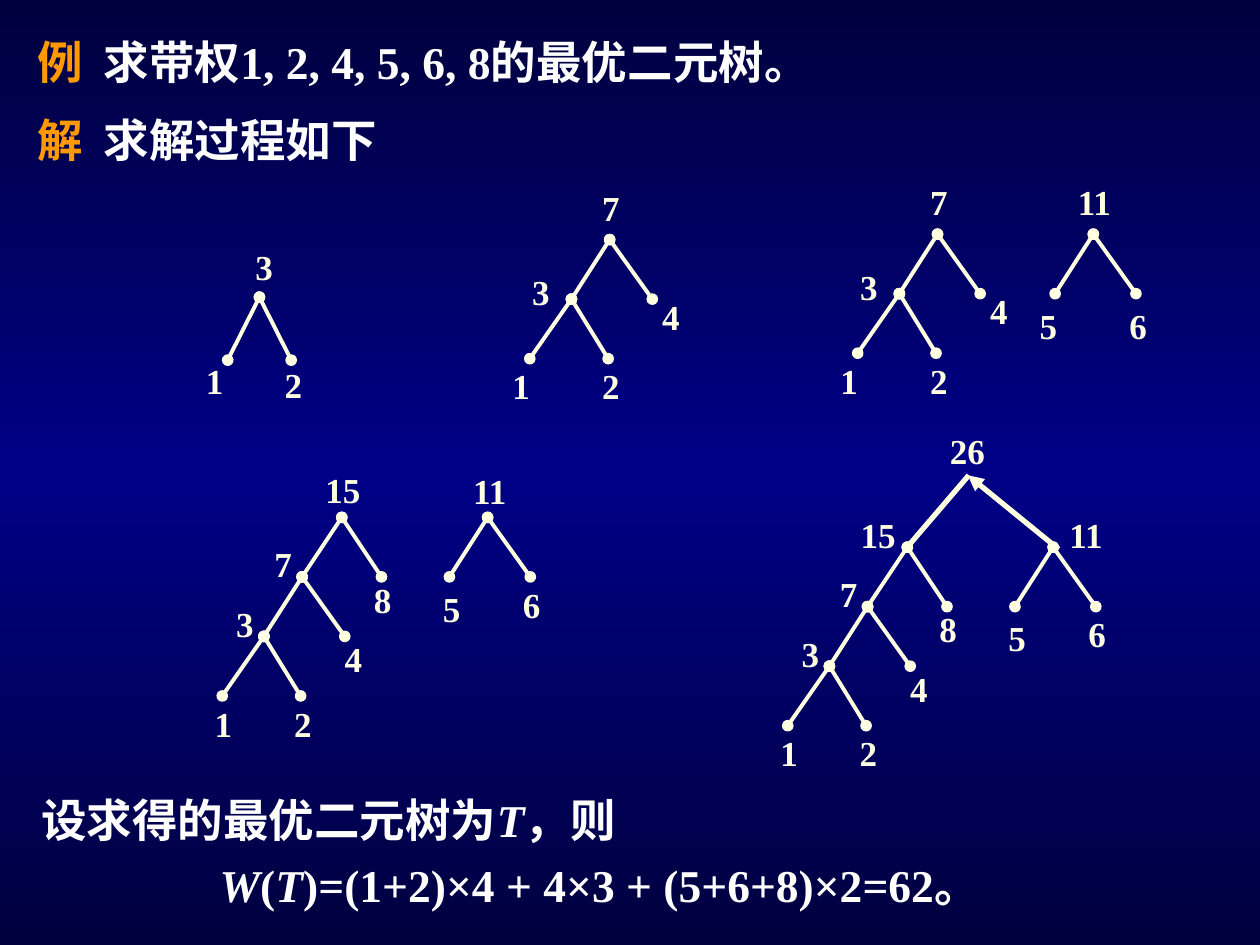
from copy import deepcopy
from dataclasses import dataclass

from pptx import Presentation
from pptx.dml.color import RGBColor as RGB
from pptx.enum.shapes import MSO_CONNECTOR as CONN
from pptx.oxml.ns import qn
from pptx.oxml.xmlchemy import OxmlElement as Element
from pptx.util import Cm, Pt


@dataclass(frozen=True)
class Theme:
    edge: str = "00003E"
    middle: str = "000086"
    accent: str = "FF9900"
    text: str = "FFFFFF"
    tree: str = "FFFFE1"
    sans: str = "Arial"
    serif: str = "Times New Roman"
    body_size: int = 26
    label_size: int = 20
    branch: float = 2.25
    join: float = 3


T = Theme()

# Trees: (weight, horizontal step from the parent, children), lengths in cm
DROP = 1.2
TREE_3 = ("3", -0.77, [("1", -0.84, []), ("2", 0.74, [])])
TREE_7 = ("7", -0.8, [TREE_3, ("4", 0.86, [])])
TREE_11 = ("11", 0, [("5", -0.77, []), ("6", 0.86, [])])
TREE_15 = ("15", 0, [TREE_7, ("8", 0.8, [])])
FIRST_3 = ("3", 0, [("1", -0.64, []), ("2", 0.64, [])])

# Label box offsets from the node, by weight
FIRST = {"1": (-0.69, -0.13), "2": (-0.38, -0.05), "3": (-0.33, -1.17)}
UPPER = {"1": (-0.6, 0), "2": (-0.37, 0), "3": (-1.04, -0.7),
         "4": (-0.05, -0.2), "5": (-0.56, 0.1), "6": (-0.38, 0.1),
         "7": (-0.4, -1.2), "11": (-0.56, -1.2)}
LOWER = {"1": (-0.4, 0), "2": (-0.38, 0), "3": (-0.81, -0.81),
         "4": (-0.25, -0.1), "5": (-0.38, 0.08), "6": (-0.4, 0),
         "7": (-0.81, -0.81), "8": (-0.4, -0.1),
         "11": (-0.54, -1.1), "15": (-0.58, -1.11)}
JOINED = {**LOWER, "11": (0.08, -0.81), "15": (-1.19, -0.81)}


def set_background(s):
    fill = s.background.fill
    fill.gradient()
    fill.gradient_angle = 270
    stops = s.element.find(".//" + qn("a:gsLst"))
    stops.append(deepcopy(stops[-1]))
    colors = (T.edge, T.middle, T.edge)
    for i, (stop, color) in enumerate(zip(fill.gradient_stops, colors)):
        stop.position = i / 2
        stop.color.rgb = RGB.from_string(color)


def add_run(p, text, *, font=T.sans, size=T.body_size, color=T.text, italic=False):
    r = p.add_run()
    r.text = text
    r.font.name = font
    r.font.size = Pt(size)
    r.font.bold = True
    r.font.italic = italic
    r.font.color.rgb = RGB.from_string(color)


def add_box(shapes, x, y, w, h):
    tf = shapes.add_textbox(Cm(x), Cm(y), Cm(w), Cm(h)).text_frame
    tf.word_wrap = True
    return tf


def add_heading(s, y, mark):
    """Text line with a coloured mark, then a tab."""
    p = add_box(s.shapes, 0.51, y, 17.8, 1.37).paragraphs[0]
    tabs = Element("a:tabLst")
    tab = Element("a:tab")
    tab.set("pos", str(Cm(1.33)))
    tab.set("algn", "l")
    tabs.append(tab)
    p._p.get_or_add_pPr().append(tabs)
    add_run(p, mark + "\t", color=T.accent)
    return p


def add_label(shapes, text, x, y):
    width = 0.95 if len(text) == 1 else 1.4
    p = add_box(shapes, x, y, width, 1.12).paragraphs[0]
    add_run(p, text, font=T.serif, size=T.label_size, color=T.tree)


def add_line(shapes, start, end, width=T.branch, **ends):
    sp = shapes.add_connector(CONN.STRAIGHT, *map(Cm, start + end))
    sp.line.width = Pt(width)
    sp.line.color.rgb = RGB.from_string(T.tree)
    ln = sp.line._get_or_add_ln()
    for name, kind in ends.items():
        end_mark = Element("a:" + name)
        end_mark.set("type", kind)
        ln.append(end_mark)
    sp._element.spPr.append(Element("a:effectLst"))


def add_tree(shapes, tree, x, y, offsets, drop=DROP):
    weight, _, children = tree
    for child in children:
        cx, cy = x + child[1], y + drop
        add_line(shapes, (x, y), (cx, cy), headEnd="oval", tailEnd="oval")
        add_tree(shapes, child, cx, cy, offsets, drop)
    dx, dy = offsets[weight]
    add_label(shapes, weight, x + dx, y + dy)


def add_step(s, offsets, *trees, drop=DROP):
    """One step of the construction: a group of trees with their roots."""
    shapes = s.shapes.add_group_shape().shapes
    for tree, x, y in trees:
        add_tree(shapes, tree, x, y, offsets, drop)
    return shapes


def add_conclusion(s):
    tf = add_box(s.shapes, 0.58, 15.62, 22.4, 2.9)
    p = tf.paragraphs[0]
    p.line_spacing = 1.2
    add_run(p, "设求得的最优二元树为")
    add_run(p, "T", font=T.serif, italic=True)
    add_run(p, "，则")

    p = tf.add_paragraph()
    p.line_spacing = 1.2
    p._p.get_or_add_pPr().set("marL", str(Cm(3.6)))
    formula = ("W", "(", "T", ")=(1+2)×4 + 4×3 + (5+6+8)×2=62。")
    for part in formula:
        add_run(p, part, font=T.serif, italic=part.isalpha())


def main():
    prs = Presentation()
    prs.slide_width, prs.slide_height = Cm(25.4), Cm(19.05)
    s = prs.slides.add_slide(prs.slide_layouts[6])
    set_background(s)

    # Problem and solution headings
    p = add_heading(s, 0.56, "例")
    add_run(p, "求带权")
    add_run(p, "1, 2, 4, 5, 6, 8", font=T.serif)
    add_run(p, "的最优二元树。")
    add_run(add_heading(s, 2.13, "解"), "求解过程如下")

    # Result
    add_conclusion(s)

    # Construction steps
    add_step(s, FIRST, (FIRST_3, 5.23, 5.99), drop=1.27)
    add_step(s, UPPER, (TREE_7, 12.29, 4.83))
    add_step(s, UPPER, (TREE_7, 18.9, 4.72), (TREE_11, 22.04, 4.72))
    add_step(s, LOWER, (TREE_15, 6.89, 10.43), (TREE_11, 9.83, 10.43))
    final = add_step(s, JOINED, (TREE_15, 18.29, 11.03), (TREE_11, 21.23, 11.03))

    # Root of the finished tree
    add_line(final, (19.51, 9.58), (21.34, 11.07), T.join, headEnd="triangle")
    add_line(final, (19.53, 9.58), (18.34, 10.97), T.join)
    add_label(final, "26", 18.9, 8.53)

    prs.save("out.pptx")


if __name__ == "__main__":
    main()
